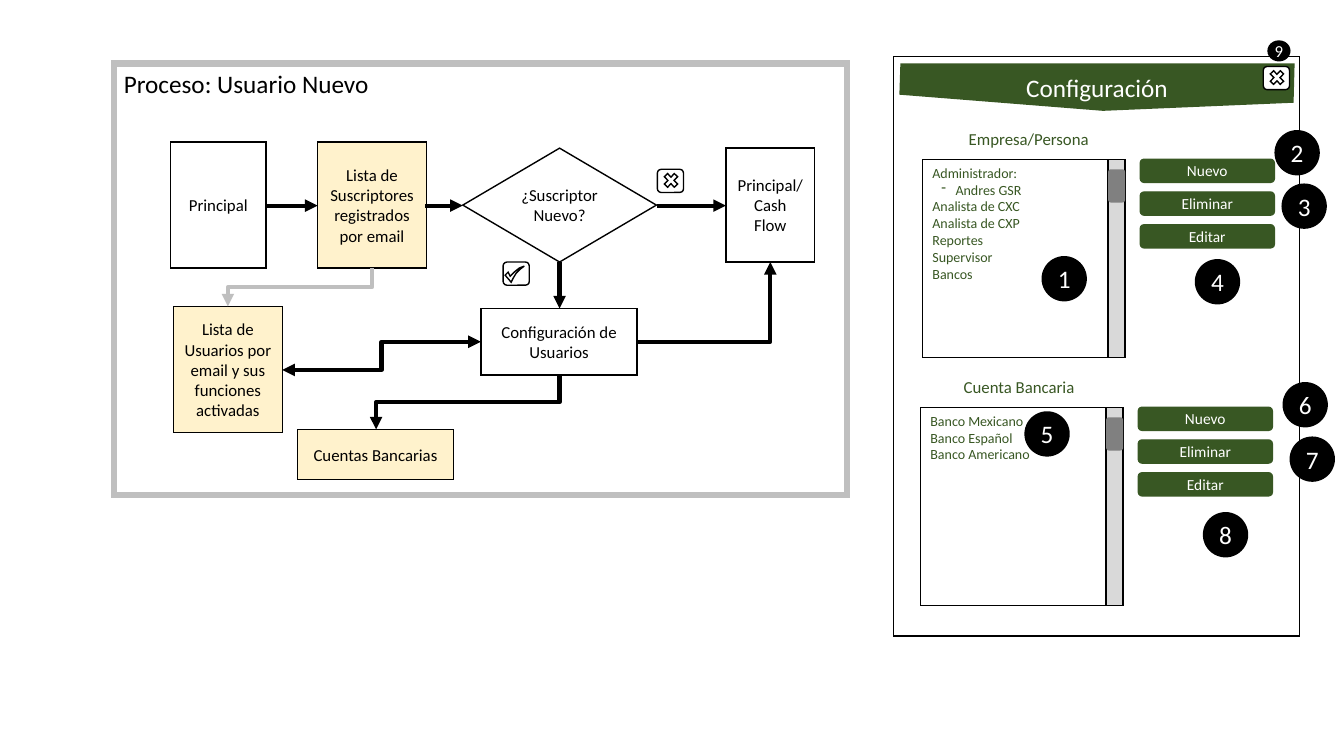
from lxml import etree
from pptx import Presentation
from pptx.dml.color import RGBColor
from pptx.enum import shapes as sh, text as tx
from pptx.oxml import ns
from pptx.util import Inches, Pt

BLACK = RGBColor(0x00, 0x00, 0x00)
WHITE = RGBColor(0xFF, 0xFF, 0xFF)
GREEN = RGBColor(0x38, 0x57, 0x23)
CREAM = RGBColor(0xFF, 0xF2, 0xCC)
SILVER = RGBColor(0xBF, 0xBF, 0xBF)
TRACK = RGBColor(0xD9, 0xD9, 0xD9)
THUMB = RGBColor(0x80, 0x80, 0x80)

KIND = sh.MSO_SHAPE
LEFT, CENTER = tx.PP_ALIGN.LEFT, tx.PP_ALIGN.CENTER
TOP, MIDDLE = tx.MSO_ANCHOR.TOP, tx.MSO_ANCHOR.MIDDLE


def write(sp, lines, size, color, align=CENTER, anchor=MIDDLE, inset=None):
    """Fill a shape with paragraphs; lines starting with a dash become bullets."""
    tf = sp.text_frame
    frame = {"word_wrap": True, "vertical_anchor": anchor}
    if inset is not None:
        frame.update({f"margin_{side}": Inches(inset)
                      for side in ("left", "right", "top", "bottom")})
    for name, value in frame.items():
        setattr(tf, name, value)
    for i, line in enumerate(lines):
        p = tf.add_paragraph() if i else tf.paragraphs[0]
        if line.startswith("- "):
            line = line[2:]
            pPr = p._p.get_or_add_pPr()
            pPr.set("marL", str(Inches(0.23)))
            pPr.set("indent", str(Inches(-0.14)))
            etree.SubElement(pPr, ns.qn("a:buChar")).set("char", "-")
        p.alignment = align
        p.text = line
        for r in p.runs:
            for name, value in {"name": "Calibri", "size": Pt(size)}.items():
                setattr(r.font, name, value)
            r.font.color.rgb = color


def paint(sp, fill, line=None, width=1):
    """Set the fill and the mitred outline of a shape."""
    sp.shadow.inherit = False
    sp.fill.solid()
    sp.fill.fore_color.rgb = fill
    if line is None:
        sp.line.fill.background()
    else:
        sp.line.color.rgb = line
        sp.line.width = Pt(width)
        ln = sp.line._get_or_add_ln()
        etree.SubElement(ln, ns.qn("a:miter")).set("lim", "800000")
    return sp


def block(s, kind, at, fill=WHITE, line=None, width=1):
    """Add a painted preset shape."""
    return paint(s.shapes.add_shape(kind, *map(Inches, at)), fill, line, width)


def outline(s, points, fill, line=None):
    """Add a painted closed freeform."""
    corners = [(Inches(x), Inches(y)) for x, y in points]
    builder = s.shapes.build_freeform(*corners[0])
    builder.add_line_segments(corners[1:], close=True)
    return paint(builder.convert_to_shape(), fill, line)


def step(s, at, label, fill=WHITE, kind=KIND.RECTANGLE, inset=None):
    """Add a labelled step of the process."""
    write(block(s, kind, at, fill, BLACK), [label], 12, BLACK, inset=inset)


def arrow(s, start, end, bends=0, color=BLACK, both=False, down=False):
    """Add a straight or bent arrow; down makes the bend leave vertically."""
    (x1, y1), (x2, y2) = start, end
    if down:
        cx, cy = (x1 + x2) / 2, (y1 + y2) / 2
        dx, dy = (x1 - x2) / 2, (y2 - y1) / 2
        x1, y1, x2, y2 = cx - dy, cy - dx, cx + dy, cy + dx
    kind = sh.MSO_CONNECTOR.ELBOW if bends else sh.MSO_CONNECTOR.STRAIGHT
    cn = s.shapes.add_connector(kind, *map(Inches, (x1, y1, x2, y2)))
    cn.line.color.rgb = color
    cn.line.width = Pt(3)
    spPr = cn._element.spPr
    if down:
        spPr.find(ns.qn("a:xfrm")).set("rot", "5400000")
    if bends == 1:
        spPr.find(ns.qn("a:prstGeom")).set("prst", "bentConnector2")
    for tag in ("a:headEnd", "a:tailEnd")[0 if both else 1:]:
        etree.SubElement(cn.line._get_or_add_ln(), ns.qn(tag)).set("type", "triangle")
    etree.SubElement(spPr, ns.qn("a:effectLst"))


def icon_box(s, x, y):
    """Add the rounded frame of an icon."""
    block(s, KIND.ROUNDED_RECTANGLE, (x, y, 0.26, 0.23), WHITE, BLACK)


def cross_icon(s, x, y):
    """Add a framed cross."""
    icon_box(s, x, y)
    block(s, KIND.MATH_MULTIPLY, (x + 0.04, y + 0.01, 0.19, 0.2), WHITE, BLACK)


def check_icon(s, x, y):
    """Add a framed check mark."""
    icon_box(s, x, y)
    mark = [(0.21, 0.04), (0.17, 0.07), (0.13, 0.11), (0.1, 0.16), (0.08, 0.2),
            (0.02, 0.13), (0.05, 0.1), (0.07, 0.14), (0.11, 0.1), (0.16, 0.06)]
    outline(s, [(x + dx, y + dy) for dx, dy in mark], WHITE, BLACK)


def badge(s, label, x, y, w=0.45, h=0.45, size=18):
    """Add a numbered black circle."""
    write(block(s, KIND.OVAL, (x, y, w, h), BLACK), [label], size, WHITE, inset=0)


def list_panel(s, x, y, title, title_x, items):
    """Add a titled list with its scroll bar and buttons."""
    write(block(s, KIND.RECTANGLE, (x, y, 1.84, 1.97), WHITE, BLACK),
          items, 10, GREEN, LEFT, TOP)
    block(s, KIND.RECTANGLE, (x + 1.84, y, 0.17, 1.97), TRACK, BLACK)
    block(s, KIND.ROUNDED_RECTANGLE, (x + 1.84, y + 0.1, 0.17, 0.33), THUMB)
    box = s.shapes.add_textbox(*map(Inches, (title_x, y - 0.33, 1.66, 0.26)))
    write(box, [title], 12, GREEN, LEFT)
    for i, label in enumerate(("Nuevo", "Eliminar", "Editar")):
        at = (x + 2.16, y + 0.325 * i, 1.33, 0.23)
        button = block(s, KIND.ROUNDED_RECTANGLE, at, GREEN, GREEN)
        write(button, [label], 11, WHITE, inset=0)


def process(s):
    """Draw the new user flow chart."""
    frame = block(s, KIND.RECTANGLE, (1.13, 0.63, 7.27, 4.28), WHITE, SILVER, 4.5)
    write(frame, ["Proceso: Usuario Nuevo"], 18, BLACK, LEFT, TOP)
    step(s, (1.69, 1.41, 0.95, 1.25), "Principal")
    step(s, (7.2, 1.47, 0.88, 1.13), "Principal/ Cash Flow", inset=0.11)
    step(s, (3.15, 1.41, 1.08, 1.25),
         "Lista de Suscriptores\vregistrados por email", CREAM)
    step(s, (4.59, 1.47, 1.92, 1.13), "¿Suscriptor Nuevo?",
         kind=KIND.FLOWCHART_DECISION, inset=0.05)
    step(s, (4.77, 3.06, 1.55, 0.66), "Configuración de Usuarios")
    step(s, (1.72, 3.04, 1.08, 1.25),
         "Lista de Usuarios por email y sus funciones activadas", CREAM)
    step(s, (2.95, 4.26, 1.55, 0.5), "Cuentas Bancarias", CREAM)
    for start, end in (((2.64, 2.04), (3.15, 2.04)), ((4.22, 2.04), (4.59, 2.04)),
                       ((6.52, 2.04), (7.2, 2.04)), ((5.55, 2.6), (5.55, 3.06))):
        arrow(s, start, end)
    arrow(s, (4.77, 3.39), (2.8, 3.67), bends=2, both=True)
    arrow(s, (5.55, 3.72), (3.73, 4.26), bends=2, down=True)
    arrow(s, (3.69, 2.66), (2.26, 3.04), bends=2, color=SILVER, down=True)
    arrow(s, (6.32, 3.39), (7.64, 2.6), bends=1)
    cross_icon(s, 6.52, 1.68)
    check_icon(s, 4.99, 2.6)


def settings(s):
    """Draw the settings window and its numbered badges."""
    block(s, KIND.RECTANGLE, (8.86, 0.56, 4.03, 5.75), WHITE, BLACK)
    banner = [(8.93, 0.63), (12.84, 0.63), (12.83, 1.02), (10.94, 1.1), (8.92, 0.94)]
    write(outline(s, banner, GREEN), ["Configuración"], 18, WHITE)
    list_panel(s, 9.15, 1.58, "Empresa/Persona", 9.51,
               ["Administrador:", "- Andres GSR", "Analista de CXC",
                "Analista de CXP", "Reportes", "Supervisor", "Bancos"])
    list_panel(s, 9.13, 4.04, "Cuenta Bancaria", 9.46,
               ["Banco Mexicano", "Banco Español", "Banco Americano"])
    spots = ((10.33, 2.54), (12.64, 1.29), (12.71, 1.82), (11.85, 2.57),
             (10.16, 4.08), (12.72, 3.79), (12.79, 4.33), (11.93, 5.08))
    for i, (x, y) in enumerate(spots, 1):
        badge(s, str(i), x, y)
    cross_icon(s, 12.53, 0.66)
    badge(s, "9", 12.57, 0.4, 0.23, 0.21, 12)


def main():
    """Build and save the slide."""
    prs = Presentation()
    prs.slide_width, prs.slide_height = Inches(13.33), Inches(7.5)
    s = prs.slides.add_slide(prs.slide_layouts[6])
    process(s)
    settings(s)
    prs.save("out.pptx")


if __name__ == "__main__":
    main()
